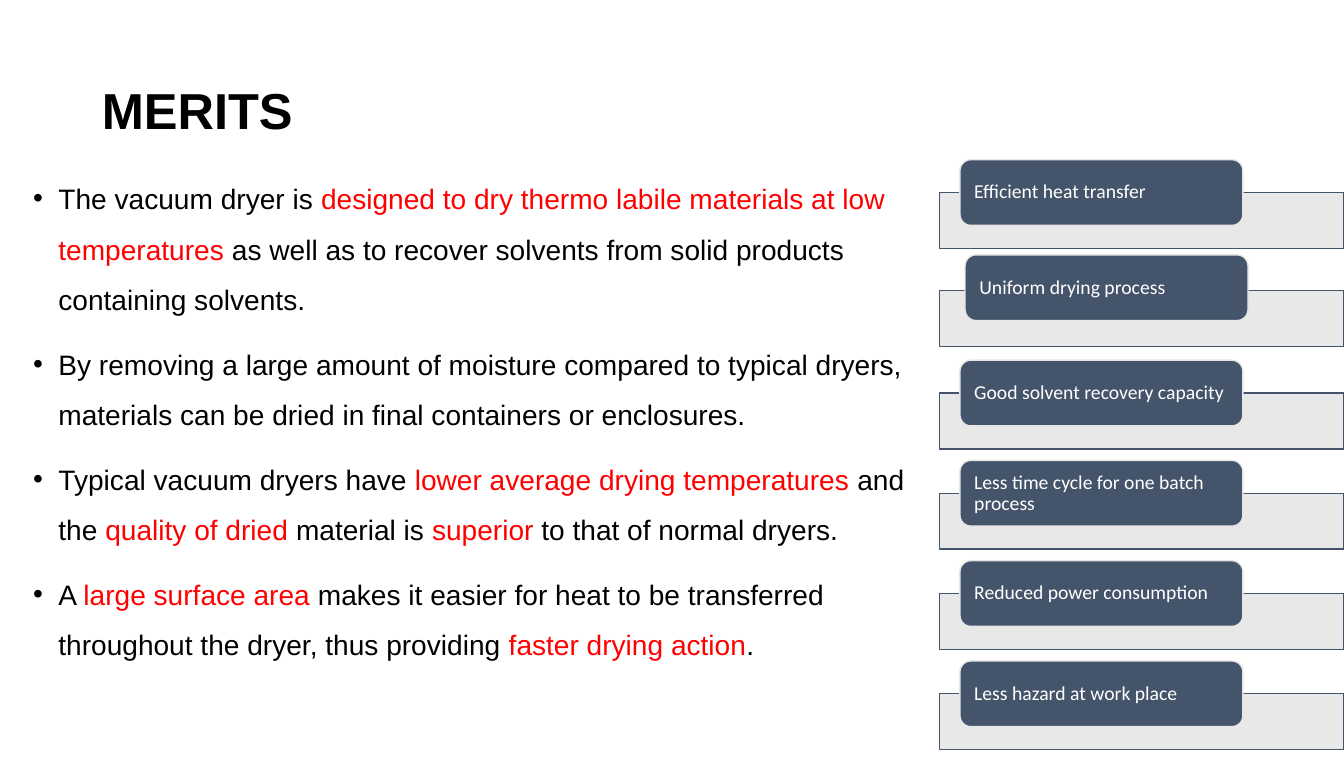
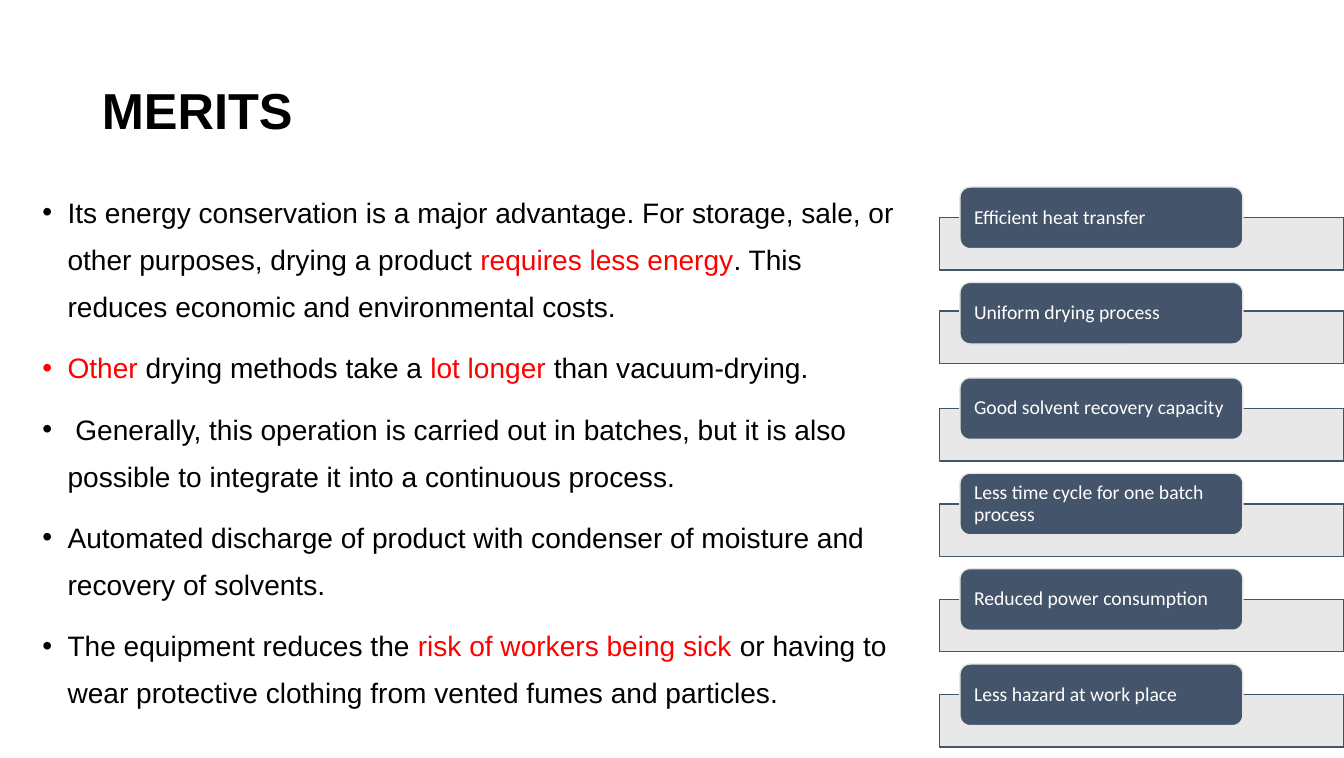
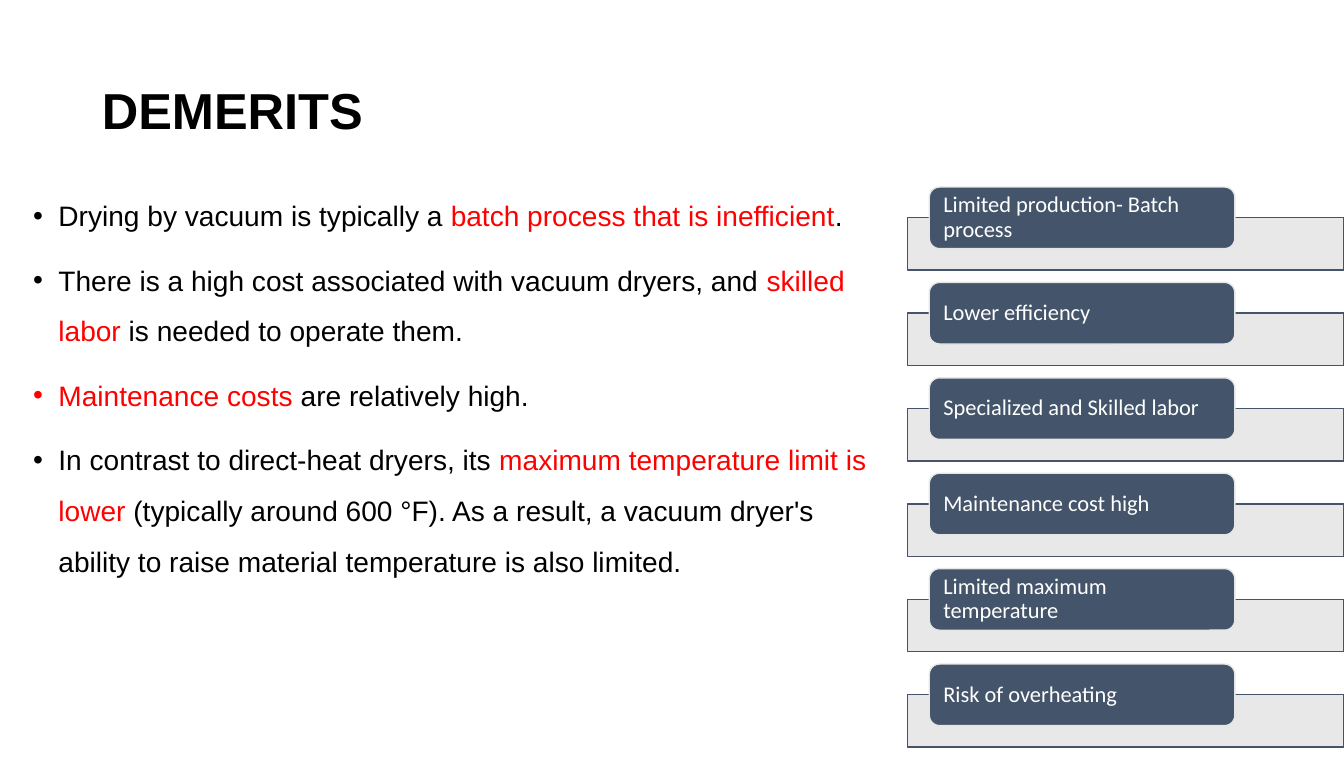
from lxml import etree
from pptx import Presentation
from pptx.dml.color import RGBColor
from pptx.enum.shapes import MSO_SHAPE
from pptx.enum.text import MSO_ANCHOR, PP_ALIGN
from pptx.oxml.ns import qn
from pptx.util import Inches, Pt

RECTANGLE = MSO_SHAPE.RECTANGLE
ROUNDED = MSO_SHAPE.ROUNDED_RECTANGLE
MIDDLE = MSO_ANCHOR.MIDDLE
LEFT = PP_ALIGN.LEFT

COLOURS = {
    "text": "000000",
    "accent": "FF0000",
    "pill": "44546A",
    "band": "E7E6E6",
    "label": "FFFFFF",
}
HEADING_FONT = "Arial"
LABEL_FONT = "Calibri"

WIDTH, HEIGHT = Inches(13.3), Inches(7.5)
TITLE_BOX = (6.84, 5.33, 86.24, 19.33)
BULLET_INDENT = Inches(0.25)

MERIT_LABELS = [
    "Efficient heat transfer",
    "Uniform drying process",
    "Good solvent recovery capacity",
    "Less time cycle for one batch process",
    "Reduced power consumption",
    "Less hazard at work place",
]
DEMERIT_LABELS = [
    "Limited production- Batch process",
    "Lower efficiency",
    "Specialized and Skilled labor",
    "Maintenance cost high",
    "Limited maximum temperature",
    "Risk of overheating",
]

# Asterisks enclose the highlighted words.
DRYER_MERITS = [
    "The vacuum dryer is *designed to dry thermo labile materials at low temperatures* as well as "
    "to recover solvents from solid products containing solvents.",
    "By removing a large amount of moisture compared to typical dryers, materials can be dried in "
    "final containers or enclosures.",
    "Typical vacuum dryers have *lower average drying temperatures *and the *quality of dried "
    "*material is *superior* to that of normal dryers.",
    "A *large surface area* makes it easier for heat to be transferred throughout the dryer, thus "
    "providing *faster drying action*.",
]
PROCESS_MERITS = [
    "Its energy conservation is a major advantage. For storage, sale, or other purposes, drying a "
    "product *requires less energy*. This reduces economic and environmental costs.",
    "*Other *drying methods take a *lot longer *than vacuum-drying.",
    " Generally, this operation is carried out in batches, but it is also possible to integrate it "
    "into a continuous process.",
    "Automated discharge of product with condenser of moisture and recovery of solvents.",
    "The equipment reduces the *risk of workers being sick *or having to wear protective clothing "
    "from vented fumes and particles.",
]
DEMERITS = [
    "Drying by vacuum is typically a *batch process that is inefficient*.",
    "There is a high cost associated with vacuum dryers, and *skilled labor* is needed to operate "
    "them.",
    "*Maintenance costs *are relatively high.",
    "In contrast to direct-heat dryers, its *maximum temperature limit is lower* (typically around "
    "600 °F). As a result, a vacuum dryer's ability to raise material temperature is also limited.",
]


def place(left, top, width, height):
    """Turn percentages of the slide's size into lengths."""
    return (round(WIDTH * left / 100), round(HEIGHT * top / 100),
            round(WIDTH * width / 100), round(HEIGHT * height / 100))


def colour(name):
    return RGBColor.from_string(COLOURS[name])


def add_run(paragraph, text, size, font_name, colour_name, bold=False):
    run = paragraph.add_run()
    run.text = text
    run.font.size = Pt(size)
    run.font.name = font_name
    run.font.bold = bold
    run.font.color.rgb = colour(colour_name)


def add_text_box(slide, box):
    frame = slide.shapes.add_textbox(*place(*box)).text_frame
    frame.word_wrap = True
    return frame


def add_title(slide, text):
    frame = add_text_box(slide, TITLE_BOX)
    frame.vertical_anchor = MIDDLE
    paragraph = frame.paragraphs[0]
    paragraph.line_spacing = 0.9
    add_run(paragraph, text, 36, HEADING_FONT, "text", bold=True)


def set_bullet(paragraph):
    properties = paragraph._p.get_or_add_pPr()
    properties.set("marL", str(BULLET_INDENT))
    properties.set("indent", str(-BULLET_INDENT))
    etree.SubElement(properties, qn("a:buFont")).set("typeface", HEADING_FONT)
    etree.SubElement(properties, qn("a:buChar")).set("char", "•")


def add_bullets(slide, box, points, line_spacing):
    frame = add_text_box(slide, box)
    for index, point in enumerate(points):
        paragraph = frame.add_paragraph() if index else frame.paragraphs[0]
        paragraph.line_spacing = line_spacing
        paragraph.space_before = Pt(10)
        set_bullet(paragraph)
        for position, part in enumerate(point.split("*")):
            if part:
                add_run(paragraph, part, 20, HEADING_FONT, "accent" if position % 2 else "text")


def add_block(slide, preset, box, fill, line):
    shape = slide.shapes.add_shape(preset, *place(*box))
    shape.shadow.inherit = False
    shape.fill.solid()
    shape.fill.fore_color.rgb = colour(fill)
    shape.line.color.rgb = colour(line)
    shape.line.width = Pt(1)
    return shape


def add_band(slide, box):
    """Add a slightly transparent band that runs behind a pill."""
    band = add_block(slide, RECTANGLE, box, "band", "pill")
    fill_colour = band._element.spPr.find(qn("a:solidFill"))[0]
    etree.SubElement(fill_colour, qn("a:alpha")).set("val", "90000")


def add_pill(slide, box, label, size):
    frame = add_block(slide, ROUNDED, box, "pill", "band").text_frame
    frame.word_wrap = True
    frame.vertical_anchor = MIDDLE
    frame.margin_left = frame.margin_right = Inches(0.11)
    frame.margin_top = frame.margin_bottom = 0
    paragraph = frame.paragraphs[0]
    paragraph.alignment = LEFT
    paragraph.line_spacing = 0.9
    add_run(paragraph, label, size, LABEL_FONT, "label")


def add_label_list(slide, labels, left, first_top, last_top, pill_height, size,
                   band_shifts=None, pill_shifts=None):
    """Stack pills evenly over bands that reach the right edge; shifts move single rows."""
    pitch = (last_top - first_top) / (len(labels) - 1)
    band_width = 100 - left
    for row, label in enumerate(labels):
        top = first_top + row * pitch
        band_shift = (band_shifts or {}).get(row, 0)
        shift_x, shift_y = (pill_shifts or {}).get(row, (0, 0))
        add_band(slide, (left, top + pill_height / 2 + band_shift,
                         band_width, pill_height * 0.85))
        add_pill(slide, (left + band_width * 0.05 + shift_x, top + shift_y,
                         band_width * 0.7, pill_height), label, size)


def add_slide(presentation, title):
    slide = presentation.slides.add_slide(presentation.slide_layouts[6])
    add_title(slide, title)
    return slide


def main():
    presentation = Presentation()
    presentation.slide_width, presentation.slide_height = WIDTH, HEIGHT

    slide = add_slide(presentation, "MERITS")
    add_bullets(slide, (1.73, 21.07, 67.07, 76.67), DRYER_MERITS, 1.5)
    add_label_list(slide, MERIT_LABELS, 69.92, 21.07, 87.2, 8.67, 14,
                   band_shifts={1: -0.27}, pill_shifts={1: (0.38, -0.67)})

    slide = add_slide(presentation, "MERITS")
    add_bullets(slide, (2.41, 23.33, 65.19, 71.07), PROCESS_MERITS, 1.4)
    add_label_list(slide, MERIT_LABELS, 69.92, 24.67, 87.6, 8.13, 14,
                   band_shifts={1: -0.27})

    slide = add_slide(presentation, "DEMERITS")
    add_bullets(slide, (1.73, 23.33, 65.19, 76.67), DEMERITS, 1.5)
    add_label_list(slide, DEMERIT_LABELS, 67.52, 24.67, 87.6, 8.13, 16)

    presentation.save("out.pptx")


if __name__ == "__main__":
    main()
